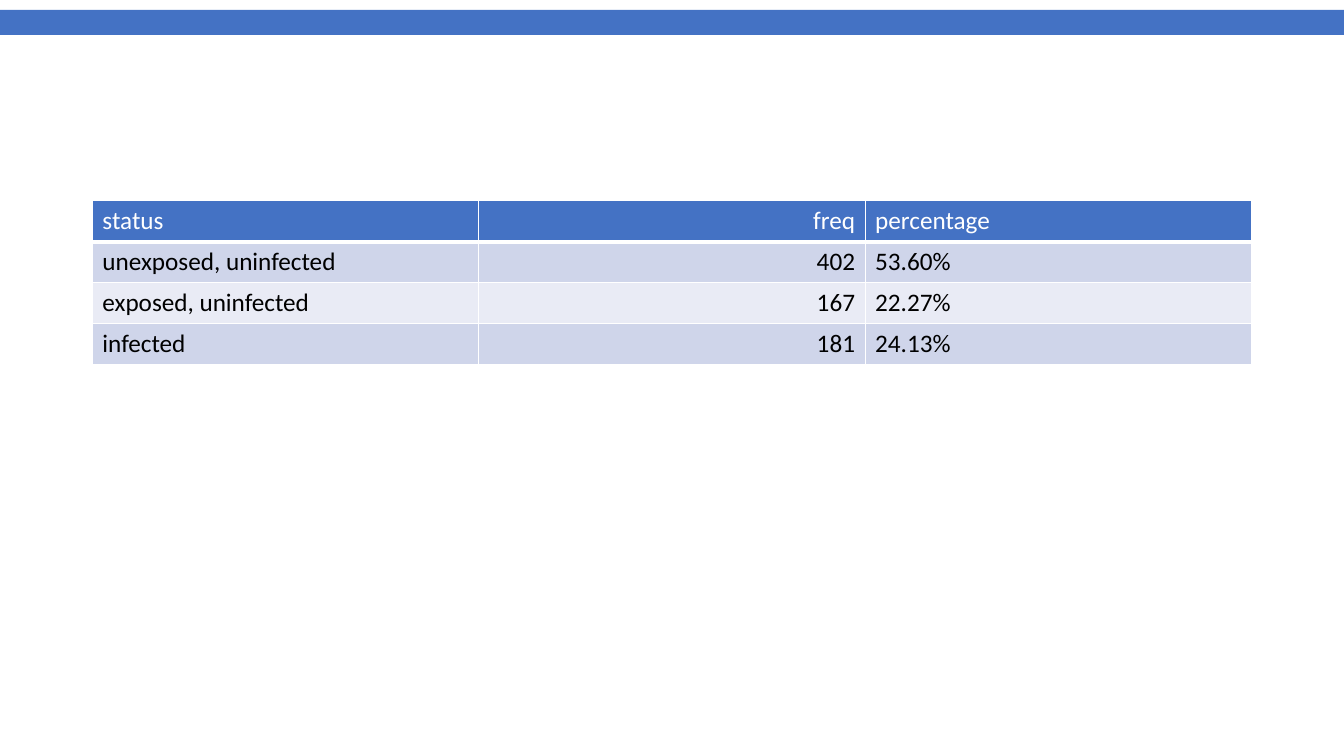
"""Build a slide with a table of infection status counts."""
import pptx
import pptx.dml.color
import pptx.enum.shapes
import pptx.enum.text
import pptx.oxml
import pptx.oxml.ns
import pptx.util

Pt = pptx.util.Pt
RGB = pptx.dml.color.RGBColor.from_string
ALIGN = pptx.enum.text.PP_ALIGN
HUES = {"blue": "4472C4", "dark": "CFD5EA", "light": "E9EBF5",
        "white": "FFFFFF", "black": "000000"}
ROWS = [
    ("status", "freq", "percentage"),
    ("unexposed, uninfected", "402", "53.60%"),
    ("exposed, uninfected", "167", "22.27%"),
    ("infected", "181", "24.13%"),
]


def edge(cell, side, width):
    """Draw a white border on one side of a cell."""
    line = pptx.oxml.parse_xml(
        f'<a:{side} {pptx.oxml.ns.nsdecls("a")} w="{Pt(width)}"><a:solidFill>'
        f'<a:srgbClr val="{HUES["white"]}"/></a:solidFill></a:{side}>')
    cell._tc.get_or_add_tcPr().append(line)


deck = pptx.Presentation()
deck.slide_width = Pt(960)
deck.slide_height = Pt(540)
slide = deck.slides.add_slide(deck.slide_layouts[6])

band = slide.shapes.add_shape(
    pptx.enum.shapes.MSO_SHAPE.RECTANGLE, Pt(0), Pt(7), Pt(960), Pt(18))
band.shadow.inherit = False
band.fill.solid()
band.fill.fore_color.rgb = RGB(HUES["blue"])
band.line.fill.background()

table = slide.shapes.add_table(
    len(ROWS), 3, Pt(66), Pt(143.5), Pt(828), Pt(116.8)).table
for col in table.columns:
    col.width = Pt(276)

for i, row in enumerate(ROWS):
    table.rows[i].height = Pt(29.2)
    head = i == 0
    fill = "blue" if head else "dark" if i % 2 else "light"
    for j, text in enumerate(row):
        cell = table.cell(i, j)
        for side in ("lnL", "lnR", "lnT", "lnB"):
            edge(cell, side, 3 if head and side == "lnB" else 1)
        cell.fill.solid()
        cell.fill.fore_color.rgb = RGB(HUES[fill])
        cell.text = text
        para = cell.text_frame.paragraphs[0]
        para.alignment = ALIGN.RIGHT if j == 1 else ALIGN.LEFT
        para.font.name = "Calibri"
        para.font.size = Pt(18)
        para.font.bold = False
        para.font.color.rgb = RGB(HUES["white" if head else "black"])

deck.save("out.pptx")
